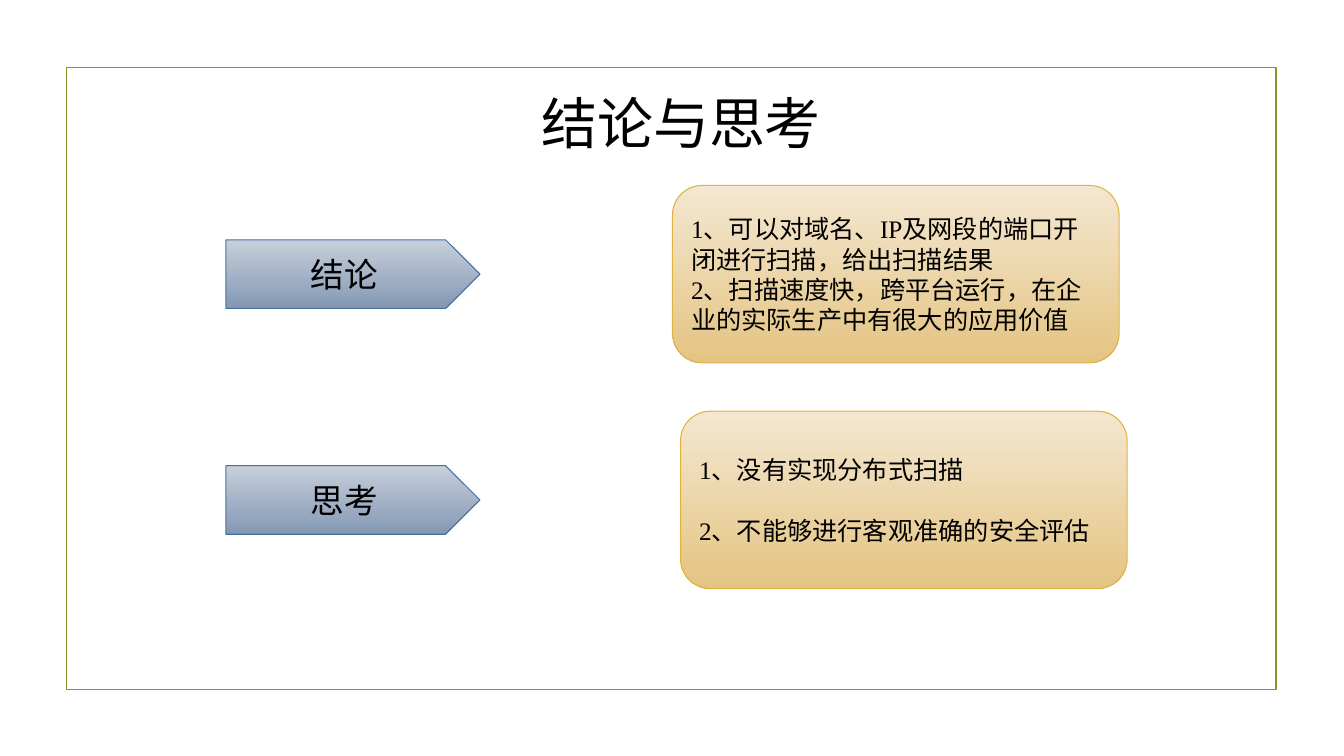
from pptx import Presentation
from pptx.dml.color import RGBColor
from pptx.enum import shapes, text
from pptx.util import Inches, Pt

FONT = "Times New Roman"
BLUE = ("C7CFDB", "8498B4", "44709D")
GOLD = ("F4E7D1", "E4C482", "DEB340")
CARD_HEIGHT = 1.76
ARROW_HEIGHT = 0.68
ROW_STEP = 2.24
TOPICS = [
    ("结论", 6.67, 0, [
        "1、可以对域名、IP及网段的端口开闭进行扫描，给出扫描结果",
        "2、扫描速度快，跨平台运行，在企业的实际生产中有很大的应用价值",
    ]),
    ("思考", 6.75, 21.6, [
        "1、没有实现分布式扫描",
        "2、不能够进行客观准确的安全评估",
    ]),
]


def color(value):
    return RGBColor.from_string(value)


def write(box, lines, size, align=text.PP_ALIGN.LEFT, gap=0):
    frame = box.text_frame
    frame.word_wrap = True
    frame.auto_size = text.MSO_AUTO_SIZE.NONE
    frame.vertical_anchor = text.MSO_ANCHOR.MIDDLE
    for index, line in enumerate(lines):
        para = frame.add_paragraph() if index else frame.paragraphs[0]
        para.alignment = align
        para.line_spacing = 1.0
        para.space_before = Pt(gap if index else 0)
        span = para.add_run()
        span.text = line
        span.font.name = FONT
        span.font.size = Pt(size)
        span.font.color.rgb = color("000000")


def add_box(page, kind, left, top, width, height, line, weight):
    box = page.shapes.add_shape(
        kind, Inches(left), Inches(top), Inches(width), Inches(height))
    box.shadow.inherit = False
    box.line.color.rgb = color(line)
    box.line.width = Pt(weight)
    return box


def add_panel(page, kind, left, top, width, height, palette):
    light, dark, line = palette
    panel = add_box(page, kind, left, top, width, height, line, 0.75)
    panel.fill.gradient()
    panel.fill.gradient_angle = 270
    for stop, shade in zip(panel.fill.gradient_stops, (light, dark)):
        stop.color.rgb = color(shade)
    return panel


def add_frame(page, left, top, width, height):
    border = add_box(page, shapes.MSO_SHAPE.RECTANGLE,
                     left, top, width, height, "83992A", 1.25)
    border.fill.background()


def add_title(page, left, top, width, height, wording):
    title = page.shapes.title
    title.left, title.top = Inches(left), Inches(top)
    title.width, title.height = Inches(width), Inches(height)
    write(title, [wording], 40, text.PP_ALIGN.CENTER)


def add_topic(page, top, label, card_left, gap, points):
    arrow_top = top + (CARD_HEIGHT - ARROW_HEIGHT) / 2
    arrow = add_panel(page, shapes.MSO_SHAPE.PENTAGON,
                      2.24, arrow_top, 2.52, ARROW_HEIGHT, BLUE)
    write(arrow, [label], 24, text.PP_ALIGN.CENTER)
    card = add_panel(page, shapes.MSO_SHAPE.ROUNDED_RECTANGLE,
                     card_left, top, 4.43, CARD_HEIGHT, GOLD)
    write(card, points, 18, gap=gap)


def main():
    deck = Presentation()
    deck.slide_width, deck.slide_height = Inches(13.33), Inches(7.5)
    page = deck.slides.add_slide(deck.slide_layouts[5])
    add_frame(page, 0.66, 0.67, 12, 6.17)
    add_title(page, 5.24, 0.83, 3.03, 0.77, "结论与思考")
    for row, topic in enumerate(TOPICS):
        add_topic(page, 1.84 + row * ROW_STEP, *topic)
    deck.save("out.pptx")


if __name__ == "__main__":
    main()
